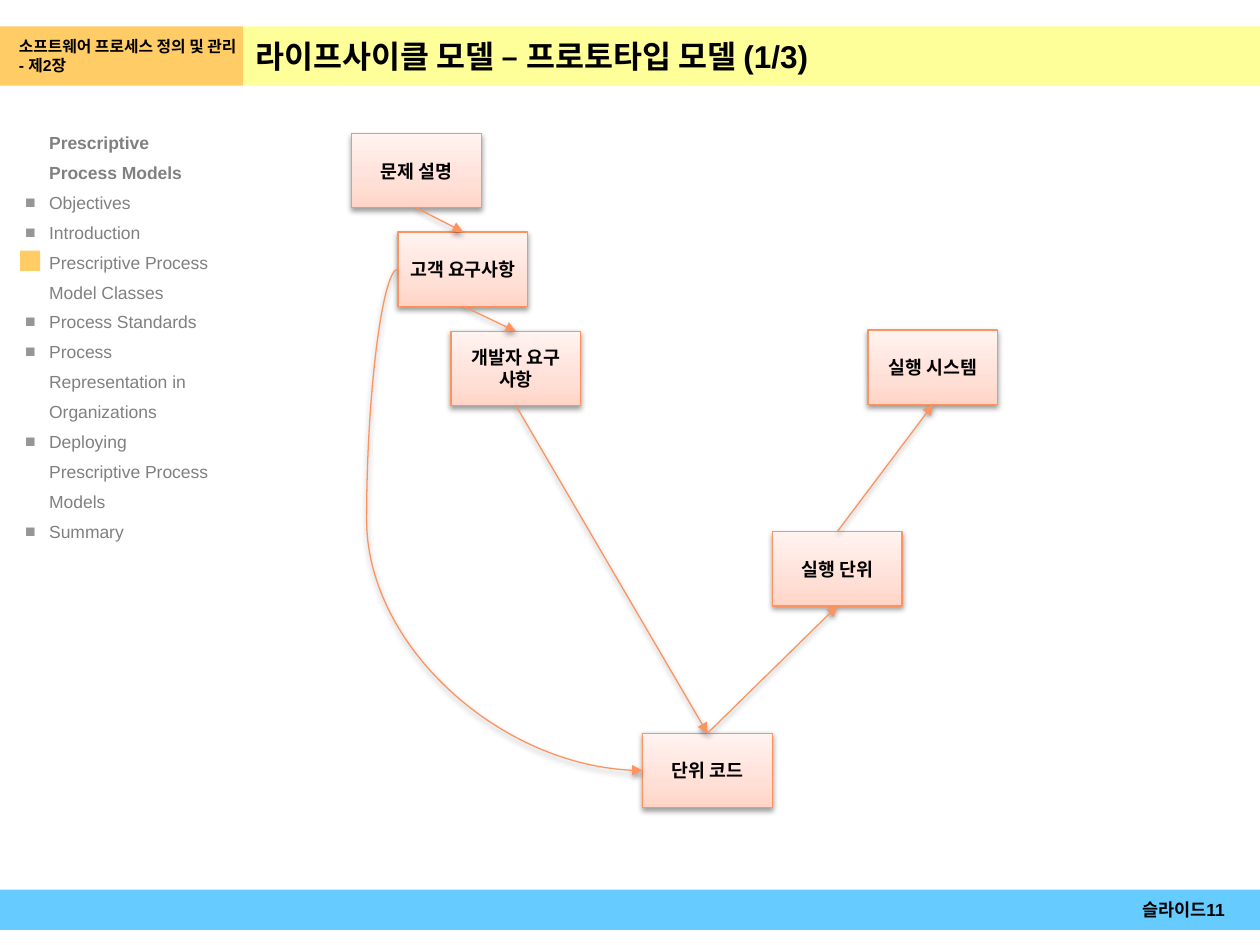
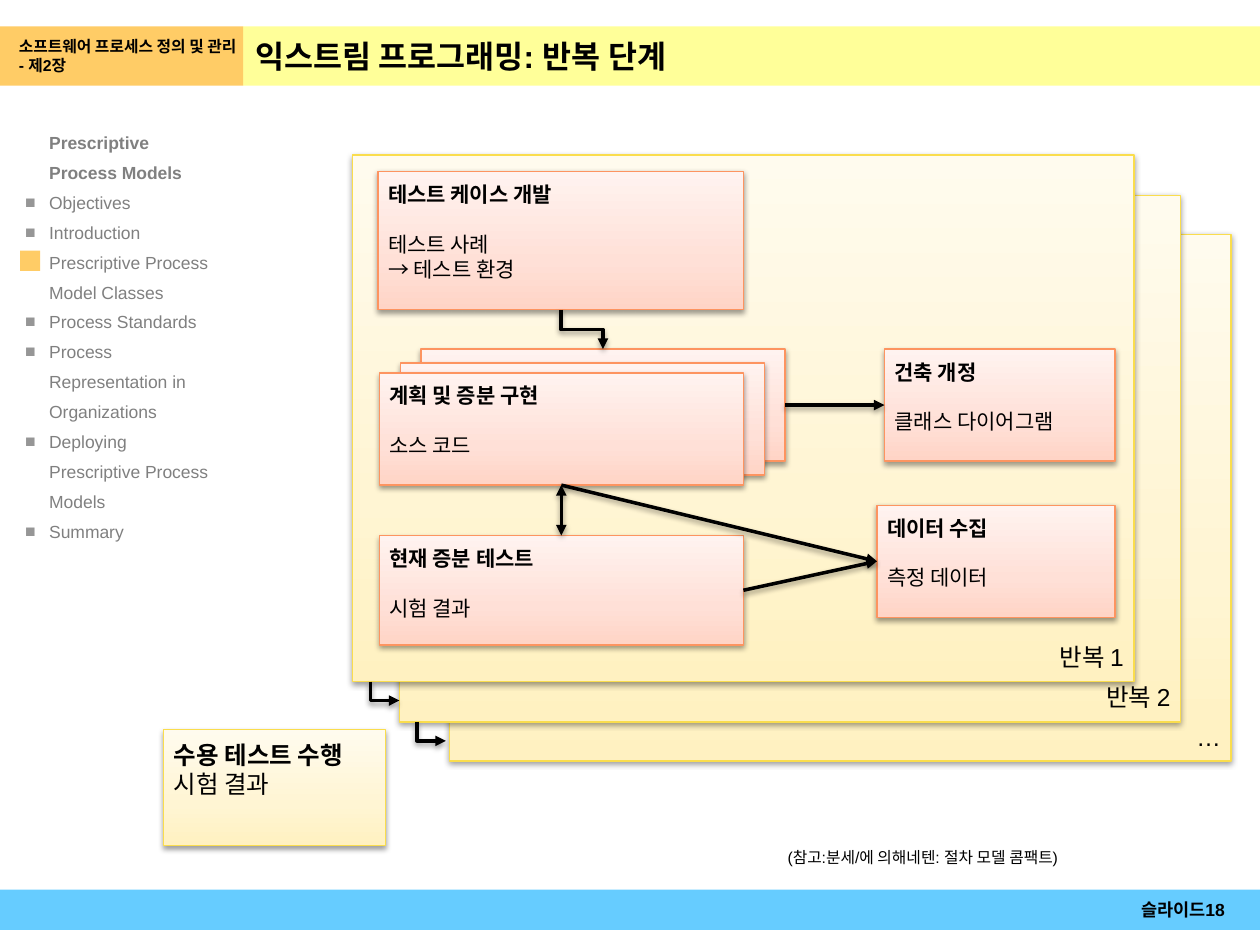
from dataclasses import dataclass

from pptx import Presentation
from pptx import util as u
from pptx.dml.color import RGBColor
from pptx.enum import shapes, text
from pptx.oxml import parse_xml
from pptx.oxml.ns import nsdecls

PX = 9144


@dataclass(frozen=True)
class Theme:
    font: str = "Arial"
    ink: str = "000000"
    muted: str = "808080"
    bullet: str = "969696"
    footer: str = "66CCFF"
    title: str = "FFFF99"
    chapter: str = "FFCC66"
    coral: tuple = ("FD9460", "FFD4C6", "FFE0D7", "FFF3F0")
    cream: tuple = ("FADD4D", "FFF1C1", "FFF5D3", "FFFBEE")
    title_size: float = 18
    frame_size: float = 14
    step_size: float = 12
    stage_size: float = 10.5
    small_size: float = 10
    note_size: float = 9
    step_gap: float = 14
    thin: float = 0.75
    thick: float = 2


THEME = Theme()
OUTLINE = (
    "Prescriptive Process Models",
    "Objectives",
    "Introduction",
    "Prescriptive Process Model Classes",
    "Process Standards",
    "Process Representation in Organizations",
    "Deploying Prescriptive Process Models",
    "Summary",
)
CHAPTER = "소프트웨어 프로세스 정의 및 관리 - 제2장"
TOP, LEFT, BOTTOM, RIGHT = range(4)


def rgb(color):
    return RGBColor.from_string(color)


def xml(tag, attributes="", children=""):
    return parse_xml(f"<a:{tag} {nsdecls('a')} {attributes}>{children}</a:{tag}>")


def indent(paragraph, margin, first=0):
    properties = paragraph._p.get_or_add_pPr()
    properties.set("marL", str(margin * PX))
    properties.set("indent", str(first * PX))
    return properties


def write(shape, content, size, bold=False, color=THEME.ink, insets=(0, 0),
          align=text.PP_ALIGN.LEFT, anchor=text.MSO_ANCHOR.MIDDLE):
    frame = shape.text_frame
    frame.text = content
    frame.word_wrap = True
    frame.auto_size = text.MSO_AUTO_SIZE.NONE
    frame.vertical_anchor = anchor
    frame.margin_left = frame.margin_right = insets[0] * PX
    frame.margin_top = frame.margin_bottom = insets[1] * PX
    for paragraph in frame.paragraphs:
        paragraph.alignment = align
        paragraph.space_before = u.Pt(0)
        for run in paragraph.runs:
            run.font.name = THEME.font
            run.font.size = u.Pt(size)
            run.font.bold = bold
            run.font.color.rgb = rgb(color)
    return frame.paragraphs


def place(shape, *area):
    shape.left, shape.top, shape.width, shape.height = (v * PX for v in area)


def band(slide, area, color):
    strip = slide.shapes.add_shape(shapes.MSO_SHAPE.RECTANGLE, *(v * PX for v in area))
    strip.shadow.inherit = False
    strip.fill.solid()
    strip.fill.fore_color.rgb = rgb(color)
    strip.line.fill.background()
    return strip


def label(slide, area, content, size, **style):
    note = slide.shapes.add_textbox(*(v * PX for v in area))
    write(note, content, size, **style)


def cast_shadow(shape):
    shape._element.spPr.append(xml(
        "effectLst", "",
        '<a:outerShdw blurRad="40000" dist="20000" dir="5400000" rotWithShape="0">'
        '<a:srgbClr val="000000"><a:alpha val="38000"/></a:srgbClr></a:outerShdw>'))


def card(slide, area, palette):
    panel = slide.shapes.add_shape(shapes.MSO_SHAPE.RECTANGLE, *(v * PX for v in area))
    edge, *tones = palette
    stops = "".join(f'<a:gs pos="{position}"><a:srgbClr val="{tone}"/></a:gs>'
                    for position, tone in zip((0, 35000, 100000), tones))
    panel._element.spPr.insert(2, xml(
        "gradFill", 'rotWithShape="1"',
        f'<a:gsLst>{stops}</a:gsLst><a:lin ang="16200000" scaled="0"/>'))
    panel.line.color.rgb = rgb(edge)
    panel.line.width = u.Pt(THEME.thin)
    cast_shadow(panel)
    return panel


def stage(slide, left, top, name):
    panel = card(slide, (left, top, 103, 59), THEME.coral)
    write(panel, name, THEME.stage_size, bold=True, insets=(2, 2),
          align=text.PP_ALIGN.CENTER)
    return panel


def step(slide, area, heading, details, palette=THEME.coral,
         size=THEME.step_size, gap=THEME.step_gap):
    panel = card(slide, area, palette)
    first, second, *_ = write(panel, f"{heading}\n{details}", size, insets=(8, 8),
                              anchor=text.MSO_ANCHOR.TOP)
    first.runs[0].font.bold = True
    second.space_before = u.Pt(gap)
    return panel


def iteration(slide, left, top, name):
    panel = card(slide, (left, top, 620, 418), THEME.cream)
    write(panel, name, THEME.frame_size, insets=(8, 8),
          align=text.PP_ALIGN.RIGHT, anchor=text.MSO_ANCHOR.BOTTOM)


def arrow_style(arrow, color, width, both=False):
    arrow.line.color.rgb = rgb(color)
    arrow.line.width = u.Pt(width)
    stroke = arrow.line._get_or_add_ln()
    if both:
        stroke.append(xml("headEnd", 'type="triangle"'))
    stroke.append(xml("tailEnd", 'type="triangle"'))
    cast_shadow(arrow)


def side(panel, site):
    middle, center = panel.left + panel.width // 2, panel.top + panel.height // 2
    return {
        TOP: (middle, panel.top),
        LEFT: (panel.left, center),
        BOTTOM: (middle, panel.top + panel.height),
        RIGHT: (panel.left + panel.width, center),
    }[site]


def link(slide, source, start, target, end, color=THEME.ink, width=THEME.thick, both=False):
    arrow = slide.shapes.add_connector(shapes.MSO_CONNECTOR.STRAIGHT, 0, 0, 0, 0)
    arrow.begin_connect(source, start)
    arrow.end_connect(target, end)
    arrow_style(arrow, color, width, both)


def loop_left(slide, source, target, bulge):
    arrow = slide.shapes.add_connector(
        shapes.MSO_CONNECTOR.CURVE, *side(source, LEFT), *side(target, LEFT))
    geometry = arrow._element.spPr.prstGeom
    geometry.get_or_add_avLst().append(
        xml("gd", f'name="adj1" fmla="val {-bulge * PX * 100000 // arrow.width}"'))
    arrow_style(arrow, THEME.coral[0], THEME.thin)


def step_down(slide, source, target):
    (x1, y1), (x2, y2) = side(source, BOTTOM), side(target, TOP)
    middle, center = (x1 + x2) // 2, (y1 + y2) // 2
    across, down = (x2 - x1) // 2, (y2 - y1) // 2
    arrow = slide.shapes.add_connector(
        shapes.MSO_CONNECTOR.ELBOW, middle + down, center - across,
        middle - down, center + across)
    arrow._element.spPr.xfrm.set("rot", "16200000")
    arrow_style(arrow, THEME.ink, THEME.thick)


def hook(slide, left, top):
    outline = slide.shapes.build_freeform(left, top, scale=PX)
    outline.add_line_segments([(left, top + 15), (left + 23, top + 15)], close=False)
    arrow = outline.convert_to_shape()
    arrow.fill.background()
    arrow_style(arrow, THEME.ink, THEME.thick)


def outline_list(body):
    place(body, 20, 98, 150, 591)
    items = write(body, "\n".join(OUTLINE), THEME.small_size, color=THEME.muted,
                  anchor=text.MSO_ANCHOR.TOP)
    for item in items:
        item.line_spacing = 1.42
    heading, *topics = items
    indent(heading, 19).append(xml("buNone"))
    heading.runs[0].font.bold = True
    for topic in topics:
        properties = indent(topic, 19, -19)
        properties.append(xml("buClr", "", f'<a:srgbClr val="{THEME.bullet}"/>'))
        properties.append(xml("buFont", f'typeface="{THEME.font}"'))
        properties.append(xml("buChar", 'char="■"'))


def lecture_slide(deck, title, number):
    slide = deck.slides.add_slide(deck.slide_layouts[1])
    heading = slide.shapes.title
    place(heading, 193, 21, 807, 47)
    heading.fill.solid()
    heading.fill.fore_color.rgb = rgb(THEME.title)
    indent(write(heading, title, THEME.title_size, bold=True, insets=(10, 5))[0], 11, -11)
    outline_list(slide.placeholders[1])
    chapter = band(slide, (0, 21, 193, 47), THEME.chapter)
    indent(write(chapter, CHAPTER, THEME.note_size, bold=True, insets=(4, 5))[0], 11)
    band(slide, (0, 706, 1000, 32), THEME.footer)
    label(slide, (870, 706, 102, 32), f"슬라이드{number}", THEME.small_size,
          bold=True, insets=(0, 4), align=text.PP_ALIGN.RIGHT)
    band(slide, (16, 199, 16, 16), THEME.chapter)
    return slide


def prototype_model(deck):
    slide = lecture_slide(deck, "라이프사이클 모델 – 프로토타입 모델 (1/3)", 11)
    problem = stage(slide, 279, 106, "문제 설명")
    system = stage(slide, 689, 262, "실행 시스템")
    unit = stage(slide, 613, 422, "실행 단위")
    developer = stage(slide, 358, 263, "개발자 요구 사항")
    customer = stage(slide, 316, 184, "고객 요구사항")
    code = stage(slide, 510, 582, "단위 코드")
    flow = ((problem, customer), (customer, developer), (developer, code))
    for source, target in flow:
        link(slide, source, BOTTOM, target, TOP, THEME.coral[0], THEME.thin)
    for source, target in ((code, unit), (unit, system)):
        link(slide, source, TOP, target, BOTTOM, THEME.coral[0], THEME.thin)
    loop_left(slide, customer, code, 25)


def extreme_programming(deck):
    slide = lecture_slide(deck, "익스트림 프로그래밍: 반복 단계", 18)
    iteration(slide, 357, 186, "…")
    iteration(slide, 317, 155, "반복 2")
    iteration(slide, 280, 123, "반복 1")
    step(slide, (130, 579, 176, 92), "수용 테스트 수행", "시험 결과",
         THEME.cream, THEME.frame_size, 0)
    hook(slide, 294, 541)
    hook(slide, 331, 573)
    cases = step(slide, (300, 136, 290, 110), "테스트 케이스 개발",
                 "테스트 사례\n→ 테스트 환경")
    testing = step(slide, (301, 425, 289, 87), "현재 증분 테스트", "시험 결과")
    metrics = step(slide, (696, 401, 189, 89), "데이터 수집", "측정 데이터")
    revision = step(slide, (702, 277, 183, 89), "건축 개정", "클래스 다이어그램")
    label(slide, (625, 673, 342, 15), "(참고:분세/에 의해네텐: 절차 모델 콤팩트)",
          THEME.note_size, anchor=text.MSO_ANCHOR.TOP)
    rear = card(slide, (334, 277, 289, 89), THEME.coral)
    card(slide, (318, 288, 289, 89), THEME.coral)
    planning = step(slide, (301, 296, 289, 89), "계획 및 증분 구현", "소스 코드")
    step_down(slide, cases, rear)
    link(slide, rear, RIGHT, revision, LEFT)
    link(slide, planning, BOTTOM, metrics, LEFT)
    link(slide, testing, RIGHT, metrics, LEFT)
    link(slide, planning, BOTTOM, testing, TOP, both=True)


def main():
    deck = Presentation()
    deck.slide_width, deck.slide_height = 1000 * PX, 750 * PX
    prototype_model(deck)
    extreme_programming(deck)
    deck.save("out.pptx")


if __name__ == "__main__":
    main()
